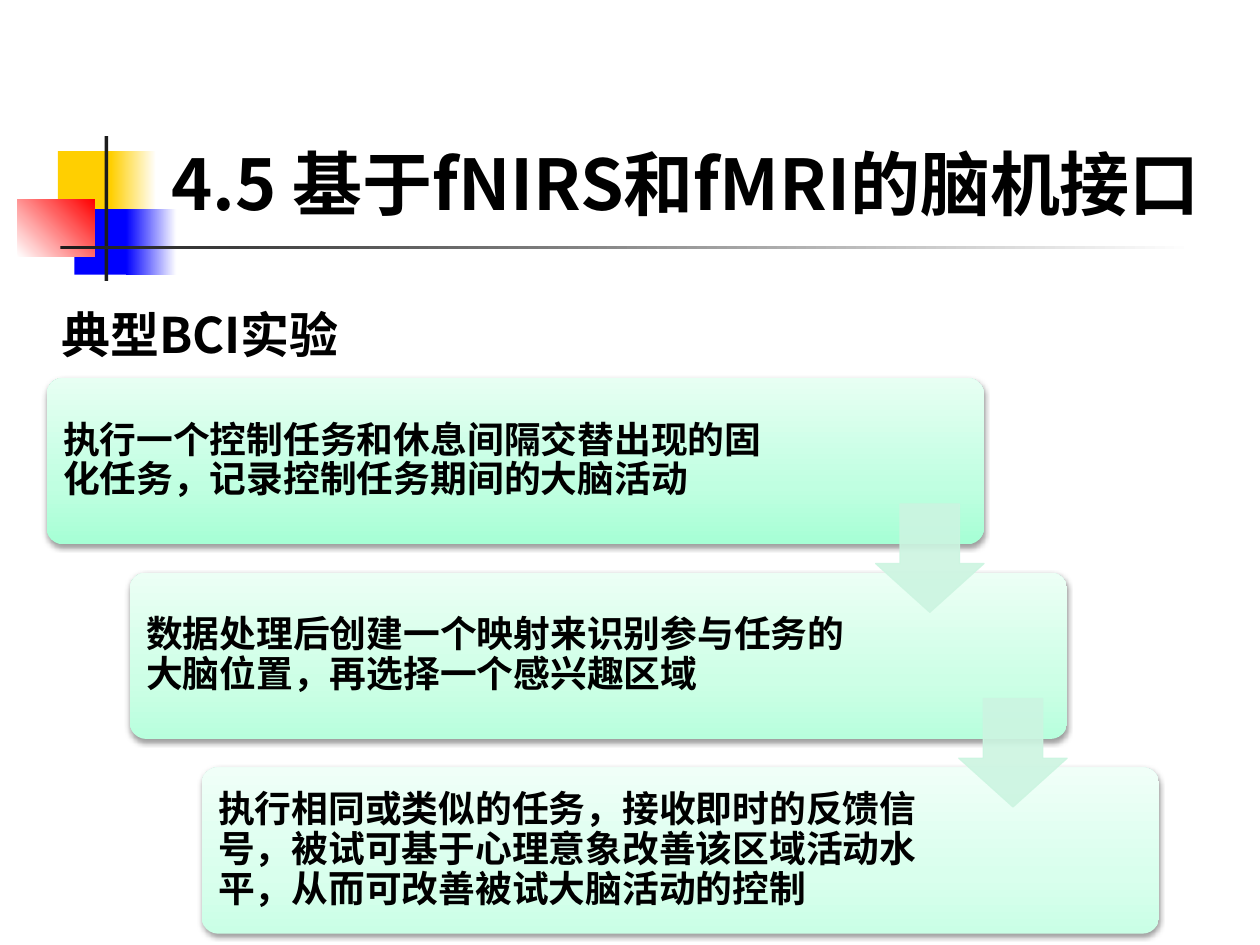
from dataclasses import dataclass
from copy import deepcopy

from lxml.etree import SubElement
from pptx import Presentation
from pptx.dml.color import RGBColor
from pptx.enum.shapes import MSO_SHAPE as Preset
from pptx.enum.text import MSO_ANCHOR as Anchor
from pptx.oxml.ns import qn
from pptx.util import Inches, Pt

CJK_FONT = "Noto Sans CJK SC"
STEP_FONT = "Cabin"
ARROW_TINT = "CCF5E1"
STEP_TOP, STEP_HEIGHT, STEP_PITCH = 3, 1.32, 1.545
ARROW_SIZE = 0.86
TEXT_OFFSET = 0.04


@dataclass
class Ornament:
    left: float
    top: float
    width: float
    height: float
    colors: tuple[str, ...]
    angle: int = 0


@dataclass
class Step:
    left: float
    width: float
    text_width: float
    colors: tuple[str, str, str]
    text: str


ORNAMENTS = [
    Ornament(0.46, 1.2, 0.48, 0.52, ("FFCF01",)),
    Ornament(0.88, 1.2, 0.36, 0.52, ("FFCF01", "FFFFFF")),
    Ornament(0.59, 1.66, 0.46, 0.52, ("0000FF",)),
    Ornament(1, 1.66, 0.4, 0.52, ("0000FF", "FFFFFF")),
    Ornament(0.14, 1.58, 0.61, 0.46, ("FFFFFF", "FF0000"), 45),
    Ornament(0.83, 1.08, 0.03, 1.15, ("1C1C1C",)),
    Ornament(0.48, 1.95, 9, 0.03, ("1C1C1C", "FFFFFF")),
]

STEPS = [
    Step(0.37, 7.44, 6.01, ("A6FFD5", "C0FFE1", "E7FFF3"),
         "执行一个控制任务和休息间隔交替出现的固化任务，记录控制任务期间的大脑活动"),
    Step(1.03, 7.44, 5.84, ("B8FFDD", "CDFFE6", "ECFFF5"),
         "数据处理后创建一个映射来识别参与任务的大脑位置，再选择一个感兴趣区域"),
    Step(1.6, 7.6, 5.98, ("CAFFE6", "D9FFED", "F0FFF8"),
         "执行相同或类似的任务，接收即时的反馈信号，被试可基于心理意象改善该区域活动水平，"
         "从而可改善被试大脑活动的控制"),
]


def paint(color_format, color: str) -> None:
    color_format.rgb = RGBColor.from_string(color)


def add_block(slide, preset, left: float, top: float, width: float, height: float):
    block = slide.shapes.add_shape(
        preset, Inches(left), Inches(top), Inches(width), Inches(height))
    block.shadow.inherit = False
    block.line.fill.background()
    return block


def fill_solid(block, color: str) -> None:
    block.fill.solid()
    paint(block.fill.fore_color, color)


def fill_gradient(block, colors: tuple[str, ...], positions: tuple[float, ...],
                  angle: int) -> None:
    block.fill.gradient()
    block.fill.gradient_angle = angle
    stop_list = block._element.spPr.find(qn("a:gradFill")).find(qn("a:gsLst"))
    while len(stop_list) < len(colors):
        stop_list.append(deepcopy(stop_list[0]))
    for stop, color, position in zip(block.fill.gradient_stops, colors, positions):
        paint(stop.color, color)
        stop.position = position


def add_soft_shadow(block) -> None:
    effects = block._element.spPr.find(qn("a:effectLst"))
    shadow = SubElement(effects, qn("a:outerShdw"), blurRad=str(Pt(3.1)),
                        dist=str(Pt(1.6)), dir="5400000", rotWithShape="0")
    tone = SubElement(shadow, qn("a:srgbClr"), val="000000")
    SubElement(tone, qn("a:alpha"), val="38000")


def add_text(slide, text: str, left: float, top: float, width: float, height: float, *,
             size: float, font: str = CJK_FONT, color: str = "000000",
             anchor=Anchor.TOP, inset: float | None = None,
             line_spacing: float = 1.0, space_after: float = 0) -> None:
    box = slide.shapes.add_textbox(
        Inches(left), Inches(top), Inches(width), Inches(height))
    frame = box.text_frame
    frame.word_wrap = True
    frame.vertical_anchor = anchor
    if inset is not None:
        frame.margin_left = frame.margin_right = Inches(inset)
        frame.margin_top = frame.margin_bottom = Inches(inset)
    paragraph = frame.paragraphs[0]
    paragraph.line_spacing = line_spacing
    paragraph.space_after = Pt(space_after)
    run = paragraph.add_run()
    run.text = text
    run.font.size = Pt(size)
    run.font.bold = True
    run.font.name = font
    paint(run.font.color, color)
    SubElement(run._r.get_or_add_rPr(), qn("a:ea"), typeface=CJK_FONT)


def add_ornament(slide, ornament: Ornament) -> None:
    block = add_block(slide, Preset.RECTANGLE, ornament.left, ornament.top,
                      ornament.width, ornament.height)
    if len(ornament.colors) == 1:
        fill_solid(block, ornament.colors[0])
    else:
        fill_gradient(block, ornament.colors, (0, 1), ornament.angle)


def add_step(slide, step: Step, top: float) -> None:
    card = add_block(slide, Preset.ROUNDED_RECTANGLE, step.left, top,
                     step.width, STEP_HEIGHT)
    card.adjustments[0] = 0.1
    fill_gradient(card, step.colors, (0, 0.35, 1), 90)
    add_soft_shadow(card)
    add_text(slide, step.text, step.left + TEXT_OFFSET, top + TEXT_OFFSET,
             step.text_width, STEP_HEIGHT - 2 * TEXT_OFFSET, size=21,
             font=STEP_FONT, anchor=Anchor.MIDDLE, inset=0.09,
             line_spacing=0.9, space_after=7)


def add_step_arrow(slide, step: Step, top: float) -> None:
    arrow = add_block(slide, Preset.DOWN_ARROW, step.left + step.width - ARROW_SIZE,
                      top + 1, ARROW_SIZE, ARROW_SIZE)
    arrow.adjustments[0] = 0.55
    arrow.adjustments[1] = 0.45
    fill_solid(arrow, ARROW_TINT)
    arrow.line.width = Pt(0.75)
    arrow.line.fill.solid()
    paint(arrow.line.color, ARROW_TINT)
    for tint in arrow._element.spPr.iter(qn("a:srgbClr")):
        SubElement(tint, qn("a:alpha"), val="90000")


def main() -> None:
    deck = Presentation()
    deck.slide_width, deck.slide_height = Inches(10), Inches(7.5)
    slide = deck.slides.add_slide(deck.slide_layouts[6])

    for ornament in ORNAMENTS:
        add_ornament(slide, ornament)
    add_text(slide, "4.5 基于fNIRS和fMRI的脑机接口", 1.26, 0.23, 8.52, 1.6,
             size=40, anchor=Anchor.BOTTOM)

    step_tops = [STEP_TOP + STEP_PITCH * index for index in range(len(STEPS))]
    for step, top in zip(STEPS, step_tops):
        add_step(slide, step, top)
    for step, top in zip(STEPS[:-1], step_tops):
        add_step_arrow(slide, step, top)

    add_text(slide, "典型BCI实验", 0.39, 2.25, 4.95, 0.63, size=28, line_spacing=1.25)
    deck.save("out.pptx")


if __name__ == "__main__":
    main()
